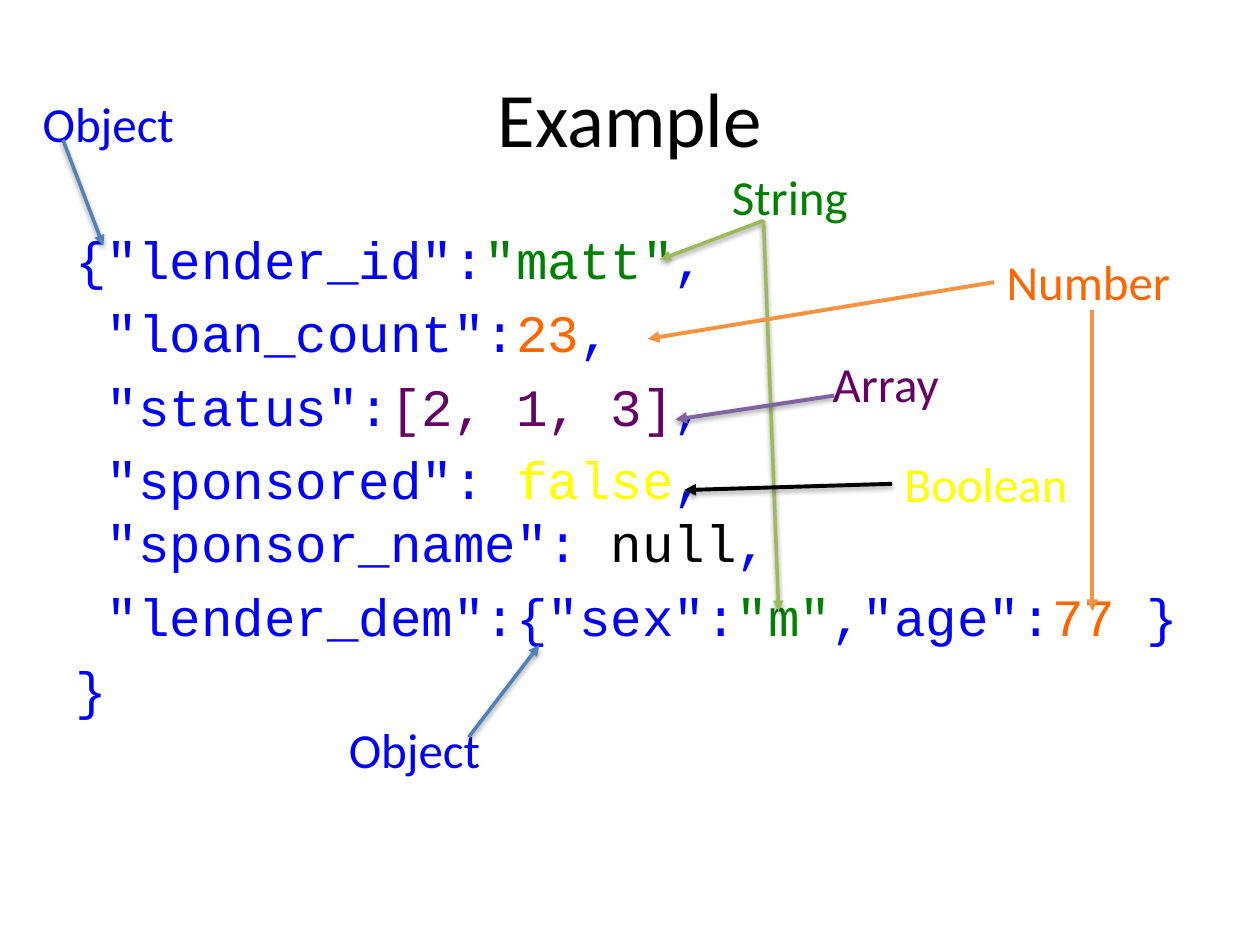
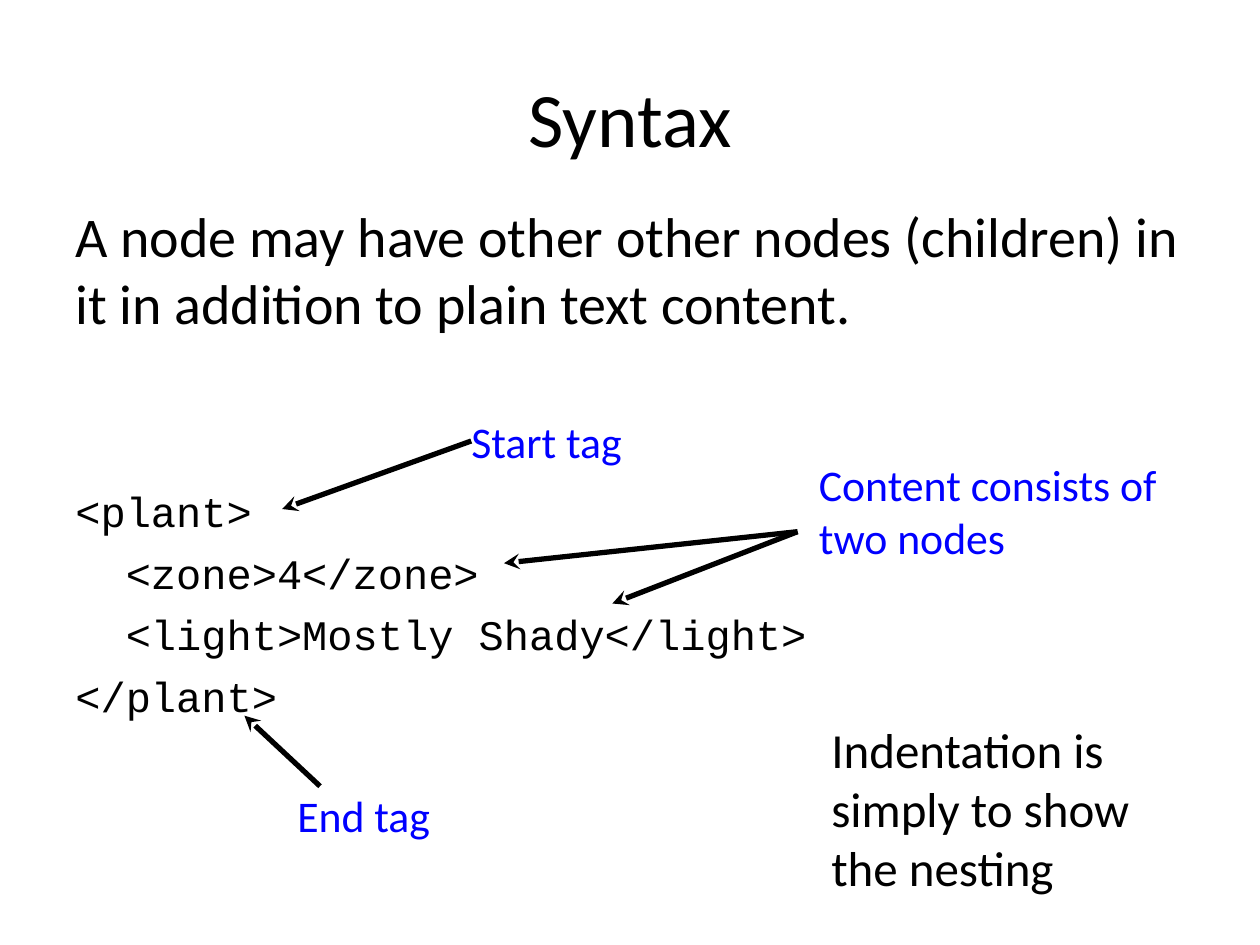
"""Build two annotated code slides: a JSON example and XML syntax."""
import dataclasses

import lxml.etree
import pptx
import pptx.dml.color
import pptx.enum.shapes
import pptx.enum.text
import pptx.oxml.ns
import pptx.util

Inches = pptx.util.Inches
Pt = pptx.util.Pt
qn = pptx.oxml.ns.qn
ALIGN = pptx.enum.text.PP_ALIGN
ANCHOR = pptx.enum.text.MSO_ANCHOR


@dataclasses.dataclass(frozen=True)
class Theme:
    """Fonts, type sizes and colours of the deck."""
    sans: str = "Calibri"
    mono: str = "Courier New"
    title: int = 44
    body: int = 32
    label: int = 28
    tag_label: int = 25
    json: int = 30
    xml: int = 24
    black: str = "000000"
    blue: str = "0000FF"
    green: str = "008000"
    orange: str = "FF6600"
    purple: str = "660066"
    yellow: str = "FFFF00"
    line_blue: str = "4F81BD"
    line_green: str = "9BBB59"
    line_orange: str = "F69240"
    line_purple: str = "8064A2"


T = Theme()


def rgb(value):
    """Turn a hex string into a colour."""
    return pptx.dml.color.RGBColor.from_string(value)


def add_box(slide, x, y, w, h, anchor=ANCHOR.TOP, wrap=True, inset=None):
    """Add an empty text box and return its text frame."""
    tf = slide.shapes.add_textbox(Inches(x), Inches(y), Inches(w), Inches(h)).text_frame
    tf.word_wrap = wrap
    tf.vertical_anchor = anchor
    if inset is not None:
        tf.margin_left = tf.margin_right = Inches(inset)
        tf.margin_top = tf.margin_bottom = Inches(inset)
    return tf


def write(tf, text, size=T.label, color=T.black, font=T.sans, align=ALIGN.LEFT,
          before=0, spacing=None, indent=0):
    """Write one paragraph from a string or a list of (text, colour) runs."""
    p = tf.paragraphs[-1]
    if p.runs:
        p = tf.add_paragraph()
    p.alignment = align
    p.space_before = Pt(before)
    if spacing:
        p.line_spacing = Pt(spacing)
    if indent:
        p._p.get_or_add_pPr().set("marL", str(Inches(indent)))
    runs = [(text, color)] if isinstance(text, str) else text
    for run_text, run_color in runs:
        if run_text == "\n":
            p.add_line_break()
            continue
        r = p.add_run()
        r.text = run_text
        r.font.name = font
        r.font.size = Pt(size)
        r.font.color.rgb = rgb(run_color)


def add_title(slide, text):
    """Add the centred slide title."""
    tf = add_box(slide, 0.5, 0.3, 9, 1.25, anchor=ANCHOR.MIDDLE)
    write(tf, text, size=T.title, align=ALIGN.CENTER)


def add_arrow(slide, start, tip, color=T.black, width=2.25, head="triangle", shadow=0):
    """Add an arrow, with a soft shadow of the given opacity in percent."""
    points = [Inches(v) for v in (*start, *tip)]
    line = slide.shapes.add_connector(pptx.enum.shapes.MSO_CONNECTOR.STRAIGHT, *points)
    line.line.color.rgb = rgb(color)
    line.line.width = Pt(width)
    lxml.etree.SubElement(line.line._get_or_add_ln(), qn("a:tailEnd"), type=head)
    effects = lxml.etree.SubElement(line._element.spPr, qn("a:effectLst"))
    if shadow:
        outer = lxml.etree.SubElement(
            effects, qn("a:outerShdw"), blurRad=str(Pt(3.1)), dist=str(Pt(1.6)),
            dir="5400000", rotWithShape="0")
        clr = lxml.etree.SubElement(outer, qn("a:srgbClr"), val=T.black)
        lxml.etree.SubElement(clr, qn("a:alpha"), val=str(shadow * 1000))


def build_example(slide):
    """Show a JSON object with its value types labelled."""
    add_title(slide, "Example")
    comma = (",", T.blue)
    json_lines = [
        [('{"lender_id":', T.blue), ('"matt"', T.green), comma],
        [(' "loan_count":', T.blue), ("23", T.orange), comma],
        [(' "status":', T.blue), ("[2, 1, 3]", T.purple), comma],
        [(' "sponsored": ', T.blue), ("false", T.yellow), comma, ("\n", T.blue),
         (' "sponsor_name": ', T.blue), ("null", T.black), comma],
        [(' "lender_dem":{"sex":', T.blue), ('"m"', T.green), (',"age":', T.blue),
         ("77", T.orange), (" }", T.blue)],
        [("}", T.blue)],
    ]
    tf = add_box(slide, 0.5, 1.75, 9, 4.95)
    for runs in json_lines:
        write(tf, runs, size=T.json, font=T.mono, before=6, spacing=36)

    for text, x, y, color in [
        ("Object", 2.67, 5.66, T.blue),
        ("String", 5.71, 1.27, T.green),
        ("Number", 7.89, 1.95, T.orange),
        ("Array", 6.51, 2.76, T.purple),
        ("Boolean", 7.08, 3.55, T.yellow),
        ("Object", 0.24, 0.69, T.blue),
    ]:
        write(add_box(slide, x, y, 1.61, 0.57), text, color=color)

    string_start = (6.06, 1.75)
    for start, tip, color, width, shadow in [
        (string_start, (5.24, 2.06), T.line_green, 2, 38),
        (string_start, (6.18, 4.85), T.line_green, 2, 38),
        ((6.62, 3.14), (5.36, 3.33), T.line_purple, 2.25, 38),
        ((7.89, 2.24), (5.14, 2.69), T.line_orange, 2.25, 0),
        ((8.67, 2.46), (8.67, 4.85), T.line_orange, 2.25, 0),
        ((0.5, 1.11), (0.82, 1.95), T.line_blue, 2, 38),
        ((3.72, 5.85), (4.28, 5.12), T.line_blue, 2, 38),
        ((7.08, 3.84), (5.43, 3.89), T.black, 2.25, 35),
    ]:
        add_arrow(slide, start, tip, color, width, shadow=shadow)


def build_syntax(slide):
    """Show nested XML nodes with their parts labelled."""
    add_title(slide, "Syntax")
    tf = add_box(slide, 0.5, 1.55, 9, 5.63)
    write(tf, "A node may have other other nodes (children) in it in addition to "
          "plain text content.", size=T.body, before=6.4)
    for text, indent, before in [
        ("<plant>", 0, 85.5),
        ("<zone>4</zone>", 0.4, 6.4),
        ("<light>Mostly Shady</light>", 0.4, 6.4),
        ("</plant>", 0, 6.4),
    ]:
        write(tf, text, size=T.xml, font=T.mono, before=before, indent=indent)

    for lines, x, y, w, h in [
        (["Start tag"], 3.74, 3.29, 1.21, 0.42),
        (["End tag"], 2.36, 6.26, 1.07, 0.42),
        (["Content consists of", "two nodes"], 6.5, 3.63, 2.73, 0.84),
    ]:
        tf = add_box(slide, x, y, w, h, anchor=ANCHOR.MIDDLE, wrap=False, inset=0)
        for text in lines:
            write(tf, text, size=T.tag_label, color=T.blue)

    content_start = (6.33, 4.22)
    for start, tip in [
        ((3.74, 3.5), (2.24, 4.04)),
        ((2.54, 6.24), (1.94, 5.68)),
        (content_start, (4, 4.47)),
        (content_start, (4.86, 4.79)),
    ]:
        add_arrow(slide, start, tip, width=3, head="stealth")

    write(add_box(slide, 6.5, 5.66, 3.1, 1.51), "Indentation is simply to show the nesting")


def main():
    """Build and save the deck."""
    prs = pptx.Presentation()
    prs.slide_width, prs.slide_height = Inches(10), Inches(7.5)
    for build in (build_example, build_syntax):
        build(prs.slides.add_slide(prs.slide_layouts[6]))
    prs.save("out.pptx")


if __name__ == "__main__":
    main()
